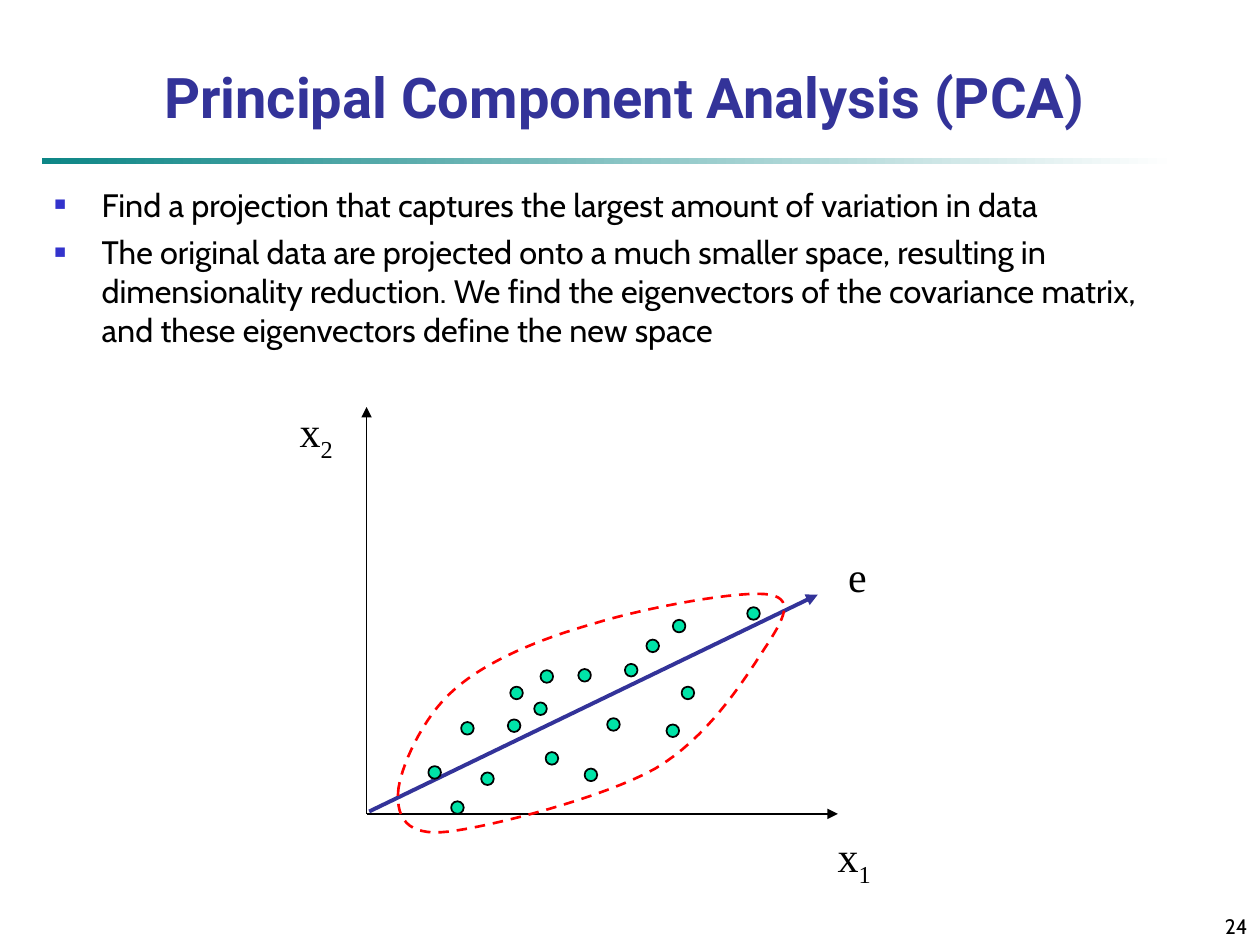
from dataclasses import dataclass
from lxml.etree import SubElement
from pptx import Presentation
from pptx.dml.color import RGBColor
from pptx.enum.dml import MSO_LINE
from pptx.enum.shapes import MSO_CONNECTOR, MSO_SHAPE
from pptx.enum.text import MSO_ANCHOR, PP_ALIGN
from pptx.oxml.ns import qn
from pptx.util import Pt


@dataclass(frozen=True)
class Theme:
    black: str = "000000"
    white: str = "FFFFFF"
    navy: str = "333399"
    mark: str = "3333CC"
    teal: str = "0D8686"
    dot: str = "00E4A8"
    red: str = "FF0000"
    head: str = "Roboto"
    body: str = "Cabin"
    math: str = "Times New Roman"
    big: float = 32
    label: float = 24
    text: float = 18.5
    small: float = 12


T = Theme()
BULLETS = [
    "Find a projection that captures the largest amount of variation in data",
    "The original data are projected onto a much smaller space, resulting in "
    "dimensionality reduction. We find the eigenvectors of the covariance matrix, "
    "and these eigenvectors define the new space",
]
LABELS = [
    ("x", "2", (164.2, 228.2, 33.1, 40.3)),
    ("x", "1", (471.6, 470.9, 33.1, 40.3)),
    ("e", "", (477.4, 311, 25.2, 36)),
]
AXES = [
    ((209.5, 465.1), (209.5, 232.6), T.black, 1),
    ((209.5, 465.1), (478.8, 465.1), T.black, 1),
    ((211, 463.7), (467.3, 339.8), T.navy, 2.25),
]
DOTS = [
    (263.5, 412.6), (291.6, 392.4), (244.8, 437.8), (305.3, 401.4),
    (290.2, 411.1), (347, 410.4), (334.1, 439.2), (311.8, 429.8),
    (330.5, 382.3), (389.5, 392.4), (427, 347), (275, 441.4),
    (357.1, 379.4), (384.5, 354.2), (308.9, 383), (369.4, 365.5),
    (380.9, 414), (257.8, 457.9),
]
START = (227.5, 452.9)
CURVES = [
    ((228.2, 439.9), (241.2, 409.7), (259.9, 393.8)),
    ((278.6, 377.3), (308.9, 365), (339.1, 356.4)),
    ((369.4, 347), (424.1, 337), (439.9, 339.8)),
    ((455.8, 342.7), (445.7, 357.1), (434.9, 373.7)),
    ((424.1, 390.2), (403.9, 421.9), (374.4, 439.2)),
    ((344.9, 455.8), (280.8, 472.3), (256.3, 475.2)),
    ((231.8, 478.1), (226.8, 466.6), START),
]


def rgb(code):
    return RGBColor.from_string(code)


def place(shape, box):
    shape.left, shape.top, shape.width, shape.height = map(Pt, box)


def write(frame, text, sub="", font=T.body, size=T.text, color=T.black,
          bold=False, align=PP_ALIGN.LEFT, anchor=MSO_ANCHOR.TOP, wrap=True):
    frame.word_wrap = wrap
    frame.vertical_anchor = anchor
    frame.text = text
    for para in frame.paragraphs:
        para.alignment = align
        if sub:
            run = para.add_run()
            run.text = sub
            run.font._element.set("baseline", "-25000")
        for run in para.runs:
            face = run.font
            face.name, face.size, face.bold = font, Pt(size), bold
            face.color.rgb = rgb(color)


def add_text(slide, box, text, **form):
    shape = slide.shapes.add_textbox(*map(Pt, box))
    write(shape.text_frame, text, **form)
    return shape.text_frame


def add_list(slide, box, items):
    frame = add_text(slide, box, "\n".join(items))
    for para in frame.paragraphs:
        para.line_spacing = 1.0
        para.space_before = Pt(5)
        props = para._p.get_or_add_pPr()
        props.set("marL", str(Pt(27)))
        props.set("indent", str(-Pt(27)))
        tint = SubElement(props, qn("a:buClr"))
        SubElement(tint, qn("a:srgbClr"), val=T.mark)
        SubElement(props, qn("a:buSzPct"), val="60000")
        SubElement(props, qn("a:buFont"), typeface="Arial")
        SubElement(props, qn("a:buChar"), char="■")


def add_rule(slide, box):
    bar = slide.shapes.add_shape(MSO_SHAPE.RECTANGLE, *map(Pt, box))
    bar.shadow.inherit = False
    bar.line.fill.background()
    bar.fill.gradient()
    bar.fill.gradient_angle = 0
    for stop, color in zip(bar.fill.gradient_stops, (T.teal, T.white)):
        stop.color.rgb = rgb(color)


def add_arrow(slide, start, end, color, width):
    arrow = slide.shapes.add_connector(MSO_CONNECTOR.STRAIGHT, *map(Pt, start + end))
    arrow.line.color.rgb = rgb(color)
    arrow.line.width = Pt(width)
    SubElement(arrow.line._get_or_add_ln(), qn("a:tailEnd"), type="triangle")
    SubElement(arrow._element.spPr, qn("a:effectLst"))


def add_dot(slide, left, top, size=7.2):
    dot = slide.shapes.add_shape(MSO_SHAPE.OVAL, *map(Pt, (left, top, size, size)))
    dot.shadow.inherit = False
    dot.fill.solid()
    dot.fill.fore_color.rgb = rgb(T.dot)
    dot.line.color.rgb = rgb(T.black)
    dot.line.width = Pt(1)


def trace(start, curves, steps=16):
    points = []
    for one, two, end in curves:
        for step in range(1, steps + 1):
            t = step / steps
            u = 1 - t
            points.append(tuple(
                Pt(u**3 * a + 3 * u * u * t * b + 3 * u * t * t * c + t**3 * d)
                for a, b, c, d in zip(start, one, two, end)))
        start = end
    return points


def add_loop(slide):
    pen = slide.shapes.build_freeform(*map(Pt, START))
    pen.add_line_segments(trace(START, CURVES), close=True)
    loop = pen.convert_to_shape()
    loop.shadow.inherit = False
    loop.fill.background()
    loop.line.color.rgb = rgb(T.red)
    loop.line.width = Pt(1.5)
    loop.line.dash_style = MSO_LINE.DASH


def main():
    deck = Presentation()
    deck.slide_width, deck.slide_height = Pt(720), Pt(540)
    slide = deck.slides.add_slide(deck.slide_layouts[5])
    title = slide.shapes.title
    place(title, (12, 12, 690, 66))
    write(title.text_frame, "Principal Component Analysis (PCA)", font=T.head,
          size=T.big, color=T.navy, bold=True, align=PP_ALIGN.CENTER,
          anchor=MSO_ANCHOR.BOTTOM)
    add_rule(slide, (24, 90, 648, 3.6))
    add_list(slide, (24, 102, 660, 126), BULLETS)
    for axis in AXES:
        add_arrow(slide, *axis)
    for dot in DOTS:
        add_dot(slide, *dot)
    add_loop(slide)
    for text, sub, box in LABELS:
        add_text(slide, box, text, sub=sub, font=T.math, size=T.label,
                 align=PP_ALIGN.CENTER, anchor=MSO_ANCHOR.MIDDLE, wrap=False)
    add_text(slide, (570, 510, 150, 30), "24", size=T.small,
             align=PP_ALIGN.RIGHT, anchor=MSO_ANCHOR.BOTTOM)
    deck.save("out.pptx")


if __name__ == "__main__":
    main()
